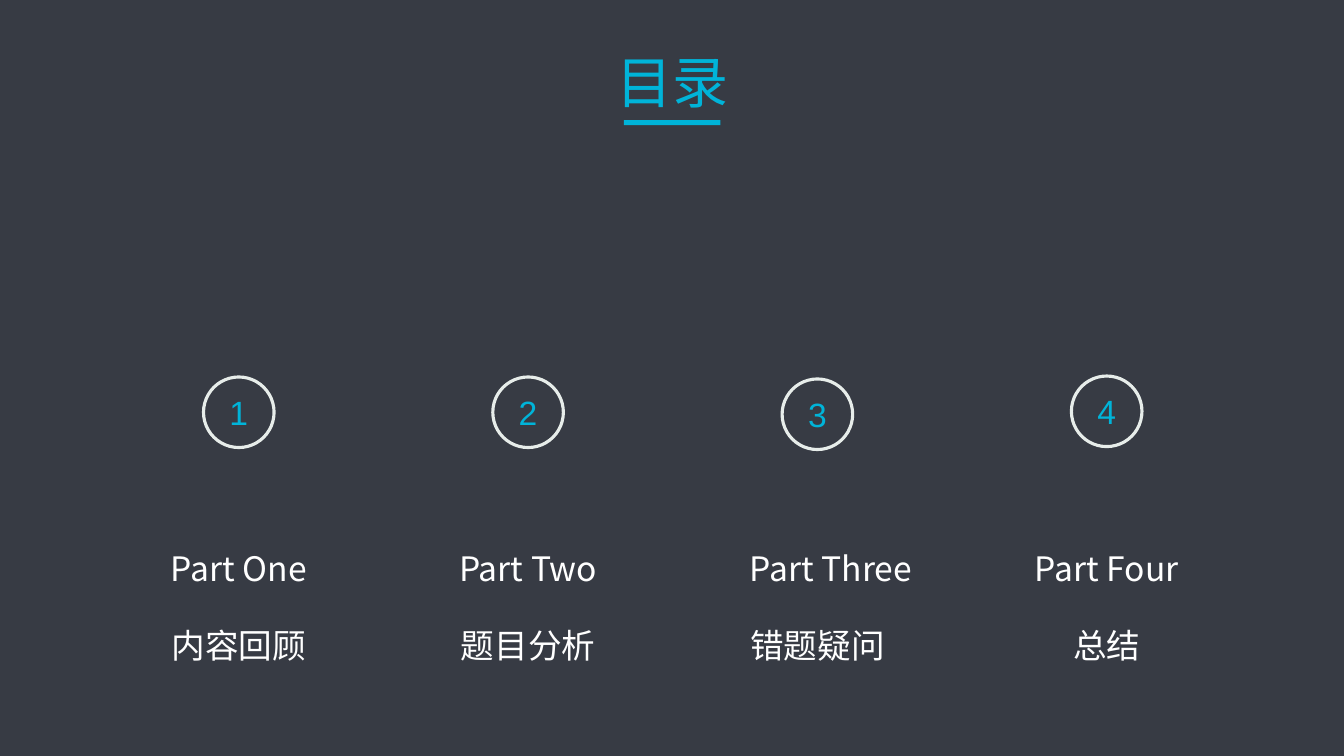
from lxml import etree
from pptx import Presentation
from pptx.dml.color import RGBColor
from pptx.enum.shapes import MSO_SHAPE
from pptx.enum.text import MSO_ANCHOR, MSO_AUTO_SIZE, PP_ALIGN
from pptx.oxml.ns import qn
from pptx.util import Pt

RECTANGLE = MSO_SHAPE.RECTANGLE
OVAL = MSO_SHAPE.OVAL
BOTTOM = MSO_ANCHOR.BOTTOM
GROW = MSO_AUTO_SIZE.SHAPE_TO_FIT_TEXT
CENTER = PP_ALIGN.CENTER

COLORS = {"ground": "373B44", "accent": "00B4D9", "ring": "E7EDEA", "label": "FFFFFF"}
CJK_FONT = "Noto Sans CJK SC"
DIGIT_FONT = "Arial"

# Column layout
FIRST_CENTER = 170.6
COLUMN_STEP = 206.64
RING_SIZE = 50.4

# Name, label centre offset, label width, topic, ring top
PARTS = [
    ("Part One", 0, 126, "内容回顾", 269.3),
    ("Part Two", 0, 126, "题目分析", 269.3),
    ("Part Three", 9.7, 144.7, "错题疑问", 270.7),
    ("Part Four", 0, 132.5, "总结", 268.6),
]


def color(name):
    return RGBColor.from_string(COLORS[name])


def add_span(frame, text, size, font, color_name):
    para = frame.paragraphs[0]
    para.alignment = CENTER
    span = para.add_run()
    span.text = text
    span.font.size = Pt(size)
    span.font.name = font
    span.font.color.rgb = color(color_name)
    east_asian = etree.SubElement(span.font._element, qn("a:ea"))
    east_asian.set("typeface", font)


def add_text(shapes, text, center, top, width, height, size, color_name):
    box = shapes.add_textbox(Pt(center - width / 2), Pt(top), Pt(width), Pt(height))
    box.text_frame.word_wrap = True
    box.text_frame.auto_size = GROW
    add_span(box.text_frame, text, size, CJK_FONT, color_name)


def add_underline(shapes):
    bar = shapes.add_shape(RECTANGLE, Pt(445.6), Pt(85.9), Pt(69), Pt(3.6))
    bar.shadow.inherit = False
    bar.fill.solid()
    bar.fill.fore_color.rgb = color("accent")
    bar.line.fill.background()


def add_ring(shapes, number, center, top):
    ring = shapes.add_shape(
        OVAL, Pt(center - RING_SIZE / 2), Pt(top), Pt(RING_SIZE), Pt(RING_SIZE))
    ring.shadow.inherit = False
    ring.fill.background()
    ring.line.color.rgb = color("ring")
    ring.line.width = Pt(2.25)
    ring.text_frame.vertical_anchor = BOTTOM
    add_span(ring.text_frame, str(number), 24, DIGIT_FONT, "accent")


def main():
    deck = Presentation()
    deck.slide_width, deck.slide_height = Pt(960), Pt(540)
    page = deck.slides.add_slide(deck.slide_layouts[6])
    page.background.fill.solid()
    page.background.fill.fore_color.rgb = color("ground")

    # Heading
    add_text(page.shapes, "目录", 480, 30.2, 241.2, 55.4, 40, "accent")
    add_underline(page.shapes)

    # Numbered parts
    for index, (name, offset, width, topic, ring_top) in enumerate(PARTS):
        center = FIRST_CENTER + index * COLUMN_STEP
        labels = page.shapes.add_group_shape().shapes
        add_text(labels, name, center + offset, 388.1, width, 36, 24, "label")
        add_text(labels, topic, center, 442.8, 182.9, 36, 24, "label")
        add_ring(page.shapes, index + 1, center, ring_top)

    deck.save("out.pptx")


if __name__ == "__main__":
    main()
